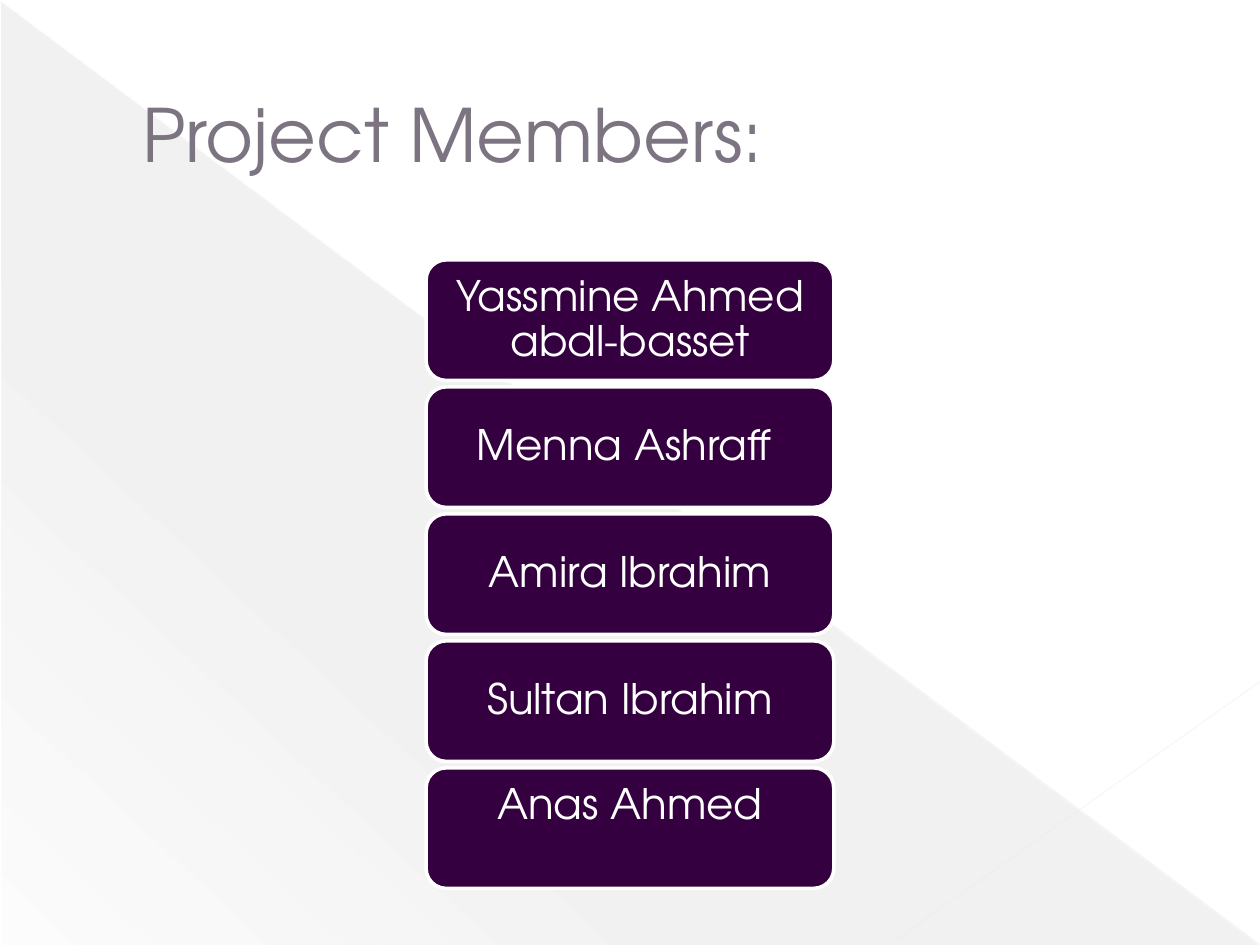
import pptx
import pptx.util
import pptx.oxml
import pptx.oxml.ns
import pptx.dml.color
import pptx.enum.shapes
import pptx.enum.text
import lxml.etree

Cm = pptx.util.Cm
Pt = pptx.util.Pt
RGBColor = pptx.dml.color.RGBColor
MSO_SHAPE = pptx.enum.shapes.MSO_SHAPE
MSO_ANCHOR = pptx.enum.text.MSO_ANCHOR
qn = pptx.oxml.ns.qn

FONT = "TeX Gyre Adventor"
WHITE = RGBColor(0xFF, 0xFF, 0xFF)
PLUM = RGBColor(0x34, 0x00, 0x3F)
TITLE_GREY = RGBColor(0x7D, 0x74, 0x82)
SHADE_GREY = RGBColor(0x66, 0x66, 0x66)
DIAGONAL_GREY = RGBColor(0xE8, 0xE8, 0xE8)
CORNER_GREY = RGBColor(0xEA, 0xEA, 0xEA)

MEMBERS = [
    "Yassmine Ahmed abdl-basset",
    "Menna Ashraff ",
    "Amira Ibrahim",
    "Sultan Ibrahim",
    "Anas Ahmed",
]
CARD_LEFT, CARD_TOP = 8.59, 5.24
CARD_WIDTH, CARD_HEIGHT = 8.22, 2.43
CARD_STEP = 2.56


def format_paragraph(p, size, color):
    for r in p.runs:
        r.font.name = FONT
        r.font.size = Pt(size)
        r.font.color.rgb = color


def add_shade(slide):
    sp = slide.shapes.add_shape(
        MSO_SHAPE.RIGHT_TRIANGLE, Cm(0.03), Cm(0.05), Cm(25.35), Cm(19))
    sp.shadow.inherit = False
    sp.line.fill.background()
    stops = "".join(
        f'<a:gs pos="{pos * 1000}"><a:srgbClr val="{SHADE_GREY}">'
        f'<a:alpha val="{alpha * 1000}"/></a:srgbClr></a:gs>'
        for pos, alpha in [(0, 10), (70, 8), (100, 1)])
    gradient = pptx.oxml.parse_xml(
        f'<a:gradFill {pptx.oxml.ns.nsdecls("a")} rotWithShape="1">'
        f'<a:gsLst>{stops}</a:gsLst>'
        f'<a:lin ang="{133 * 60000}" scaled="0"/></a:gradFill>')
    sp._element.spPr.find(qn("a:prstGeom")).addnext(gradient)


def add_line(slide, start, end, color, width, opacity):
    line = slide.shapes.add_connector(
        pptx.enum.shapes.MSO_CONNECTOR.STRAIGHT,
        *(Cm(v) for v in start + end))
    line.line.color.rgb = color
    line.line.width = Pt(width)
    spPr = line._element.spPr
    alpha = lxml.etree.SubElement(next(spPr.iter(qn("a:srgbClr"))), qn("a:alpha"))
    alpha.set("val", str(opacity * 1000))
    lxml.etree.SubElement(spPr, qn("a:effectLst"))


def add_title(slide, text):
    box = slide.shapes.add_textbox(Cm(1.27), Cm(0.74), Cm(22.86), Cm(3.89))
    tf = box.text_frame
    tf.word_wrap = True
    tf.vertical_anchor = MSO_ANCHOR.MIDDLE
    tf.margin_left = Cm(1.6)
    tf.text = text
    format_paragraph(tf.paragraphs[0], 42, TITLE_GREY)


def add_card(slide, top, name):
    sp = slide.shapes.add_shape(
        MSO_SHAPE.ROUNDED_RECTANGLE,
        Cm(CARD_LEFT), Cm(top), Cm(CARD_WIDTH), Cm(CARD_HEIGHT))
    sp.shadow.inherit = False
    sp.fill.solid()
    sp.fill.fore_color.rgb = PLUM
    sp.line.color.rgb = WHITE
    sp.line.width = Pt(2)
    tf = sp.text_frame
    tf.word_wrap = True
    tf.vertical_anchor = MSO_ANCHOR.MIDDLE
    tf.margin_left = tf.margin_right = Cm(0.2)
    tf.margin_top = tf.margin_bottom = Cm(0.2)
    tf.text = name
    p = tf.paragraphs[0]
    p.alignment = pptx.enum.text.PP_ALIGN.CENTER
    p.line_spacing = 0.9
    format_paragraph(p, 24, WHITE)
    return sp


def main():
    prs = pptx.Presentation()
    prs.slide_width, prs.slide_height = Cm(25.4), Cm(19.05)
    slide = prs.slides.add_slide(prs.slide_layouts[6])
    add_shade(slide)
    add_line(slide, (0, 0.03), (25.37, 19.02), DIAGONAL_GREY, 0.39, 35)
    add_line(slide, (25.4, 13.74), (17.96, 19.02), CORNER_GREY, 0.47, 45)
    add_title(slide, "Project Members:")
    cards = [add_card(slide, CARD_TOP + i * CARD_STEP, name)
             for i, name in enumerate(MEMBERS)]
    cards[-1].text_frame.vertical_anchor = MSO_ANCHOR.TOP
    prs.save("out.pptx")


if __name__ == "__main__":
    main()
